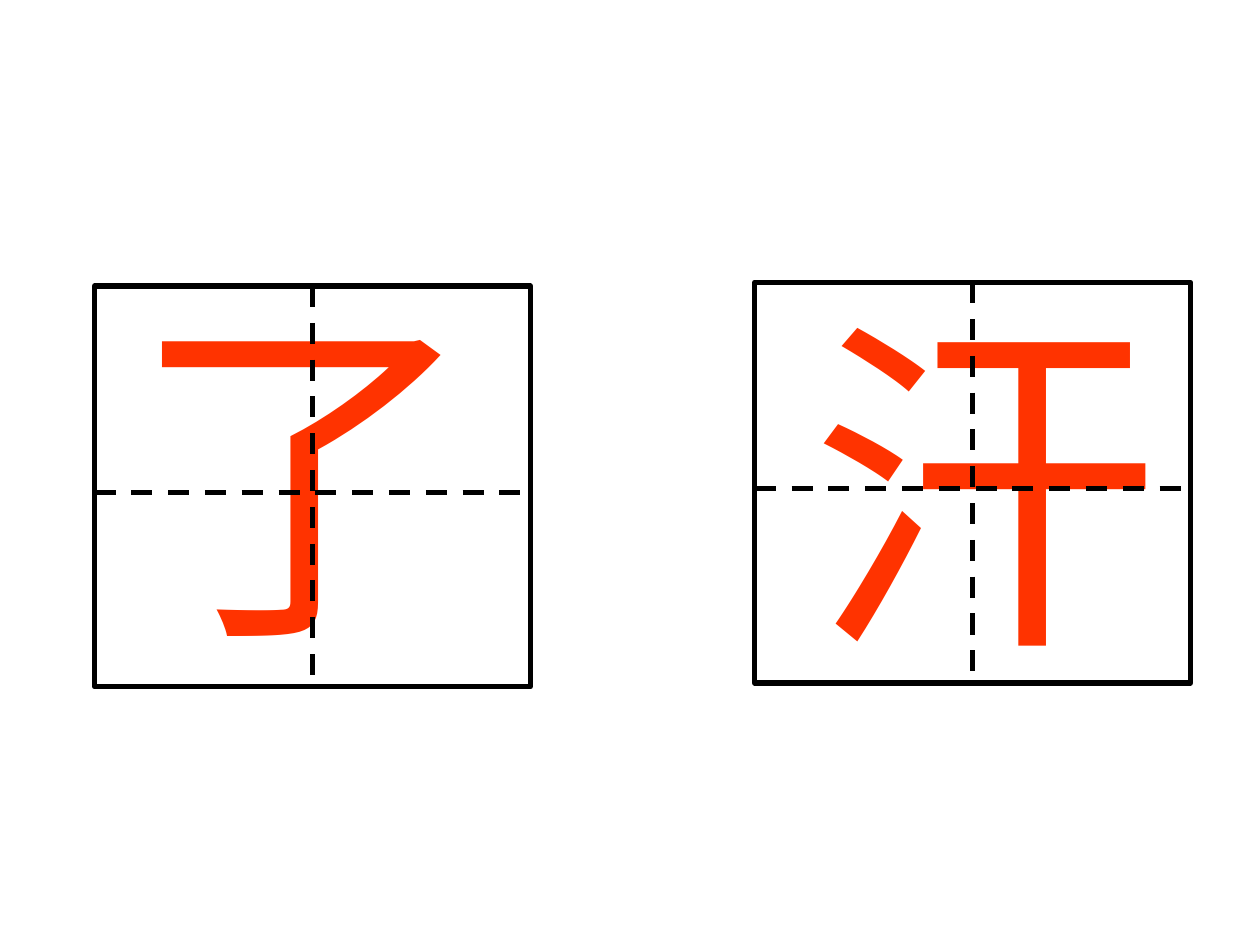
from lxml import etree
from pptx import Presentation
from pptx.dml.color import RGBColor
from pptx.enum.dml import MSO_LINE
from pptx.enum.shapes import MSO_CONNECTOR, MSO_SHAPE
from pptx.oxml.ns import qn
from pptx.util import Inches, Pt

BLACK = RGBColor(0x00, 0x00, 0x00)
RED = RGBColor(0xFF, 0x33, 0x00)
DASH = MSO_LINE.DASH
STRAIGHT = MSO_CONNECTOR.STRAIGHT
RECT = MSO_SHAPE.RECTANGLE


def add_frame(slide, left, top, width, height):
    """Draw the solid border of a writing grid."""
    frame = slide.shapes.add_shape(
        RECT, Inches(left), Inches(top), Inches(width), Inches(height))
    frame.shadow.inherit = False
    frame.fill.background()
    frame.line.color.rgb = BLACK
    frame.line.width = Pt(3)


def add_guide(slide, *ends):
    """Draw a dashed guide line between two points."""
    guide = slide.shapes.add_connector(STRAIGHT, *map(Inches, ends))
    guide.line.color.rgb = BLACK
    guide.line.width = Pt(3)
    guide.line.dash_style = DASH
    etree.SubElement(guide._element.spPr, qn("a:effectLst"))


def add_glyph(slide, text, left, top):
    """Place one large character."""
    box = slide.shapes.add_textbox(
        Inches(left), Inches(top), Inches(3.35), Inches(3.44))
    frame = box.text_frame
    frame.word_wrap = True
    line = frame.paragraphs[0]
    line.text = text
    line.font.name = "Arial"
    line.font.size = Pt(200)
    line.font.color.rgb = RED


def add_grid(slide, text, box, spot):
    """Build a writing grid in the given box, with its character at a spot."""
    left, top, width, height = box
    mid_x = left + width / 2
    mid_y = top + 1.64
    add_frame(slide, *box)
    add_glyph(slide, text, *spot)
    add_guide(slide, left, mid_y, left + width, mid_y)
    add_guide(slide, mid_x, top, mid_x, top + height)


def main():
    """Build the slide and save it."""
    deck = Presentation()
    deck.slide_width = Inches(10)
    deck.slide_height = Inches(7.5)
    slide = deck.slides.add_slide(deck.slide_layouts[6])
    add_grid(slide, "了", (0.75, 2.27, 3.46, 3.18), (0.92, 2))
    add_grid(slide, "汗", (5.99, 2.24, 3.46, 3.18), (6.33, 2.08))
    deck.save("out.pptx")


if __name__ == "__main__":
    main()
